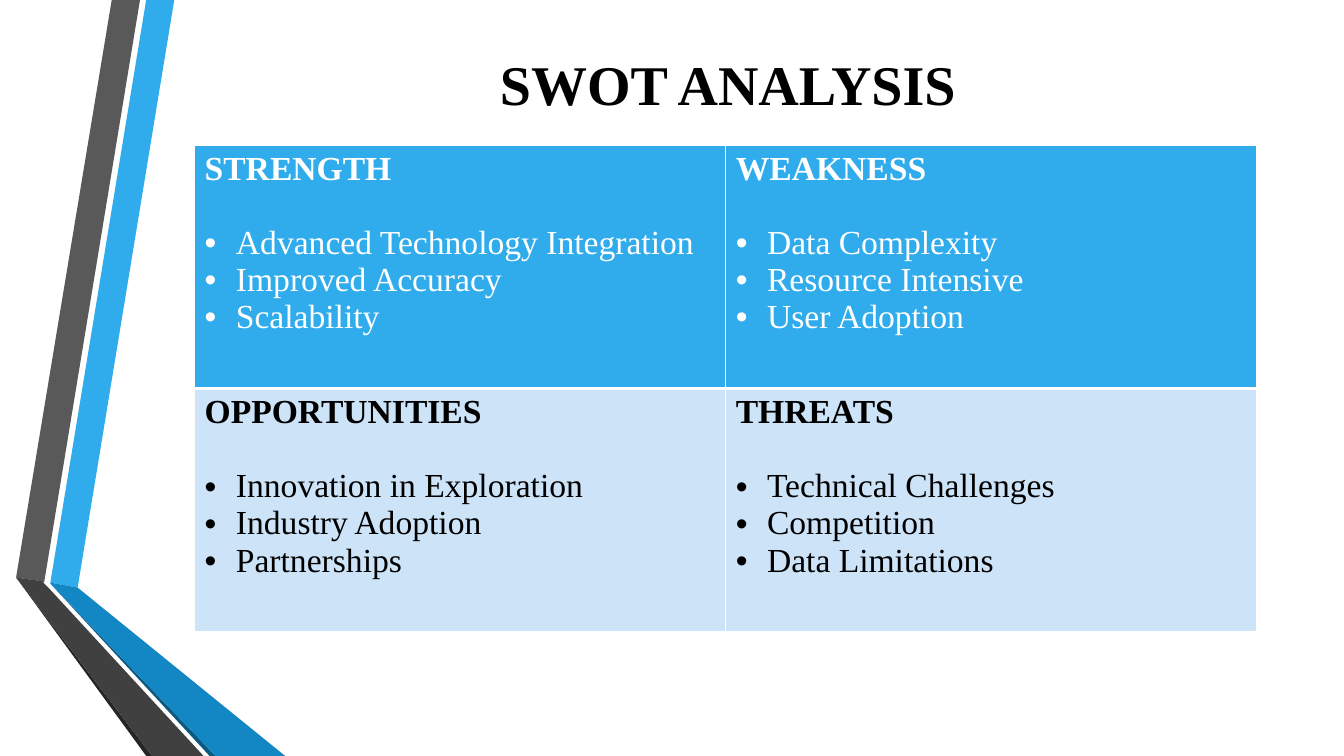
from dataclasses import dataclass

from lxml import etree
from pptx import Presentation
from pptx.dml.color import RGBColor
from pptx.enum.text import MSO_ANCHOR, PP_ALIGN
from pptx.oxml.ns import qn
from pptx.util import Inches, Pt

FONT = "Times New Roman"
CENTER, LEFT = PP_ALIGN.CENTER, PP_ALIGN.LEFT
MIDDLE = MSO_ANCHOR.MIDDLE
SLIDE_W, SLIDE_H = Inches(13.333), Inches(7.5)
WHITE, BLACK, BLUE, PALE_BLUE = "FFFFFF", "000000", "30ACEC", "CDE3F8"

# Shares of the slide's size, in percent
TABLE_LEFT, TABLE_TOP = 14.48, 19.2
COL_W, ROW_H = 39.52, 32.2
BULLET_INDENT = Inches(0.31)
BORDERS = {"a:lnL": 1, "a:lnR": 1, "a:lnT": 1, "a:lnB": 1}


@dataclass
class Ribbon:
    color: str
    points: list[tuple[float, float]]


@dataclass
class Quadrant:
    heading: str
    items: list[str]


RIBBONS = [
    Ribbon(BLUE, [(3.75, 77.07), (5.78, 77.73), (12.97, 0), (10.88, 0)]),
    Ribbon("595959", [(10.42, 0), (8.32, 0), (1.2, 76.4), (3.3, 76.93)]),
    Ribbon("262626", [(1.2, 76.4), (10.88, 100), (11.32, 100)]),
    Ribbon("0C5A82", [(3.75, 77.2), (15.6, 100), (16.05, 100)]),
    Ribbon("1287C3", [(3.75, 77.2), (16.05, 100), (21.22, 100),
                      (5.78, 77.73), (3.75, 77.07)]),
    Ribbon("404040", [(15.15, 100), (3.6, 77.73), (3.22, 77.07),
                      (3.3, 76.93), (1.2, 76.4), (11.32, 100)]),
]

SWOT = [
    [Quadrant("STRENGTH", ["Advanced Technology Integration",
                           "Improved Accuracy", "Scalability"]),
     Quadrant("WEAKNESS", ["Data Complexity", "Resource Intensive",
                           "User Adoption"])],
    [Quadrant("OPPORTUNITIES", ["Innovation in Exploration",
                                "Industry Adoption", "Partnerships"]),
     Quadrant("THREATS", ["Technical Challenges", "Competition",
                          "Data Limitations"])],
]
ROW_COLORS = [(BLUE, WHITE), (PALE_BLUE, BLACK)]


def x(percent: float) -> int:
    return int(SLIDE_W * percent / 100)


def y(percent: float) -> int:
    return int(SLIDE_H * percent / 100)


def rgb(color: str) -> RGBColor:
    return RGBColor.from_string(color)


def write(p, text: str, *, size: float = 24, color: str = BLACK,
          bold: bool = False, align=LEFT, after: float = 0,
          bullet: bool = False) -> None:
    """Fill paragraph p with one formatted run."""
    p.alignment = align
    p.space_after = Pt(after)
    r = p.add_run()
    r.text = text
    r.font.name, r.font.size, r.font.bold = FONT, Pt(size), bold
    r.font.color.rgb = rgb(color)
    if bullet:
        pPr = p._p.get_or_add_pPr()
        pPr.set("marL", str(BULLET_INDENT))
        pPr.set("indent", str(-BULLET_INDENT))
        etree.SubElement(pPr, qn("a:buFont")).set("typeface", "Arial")
        etree.SubElement(pPr, qn("a:buChar")).set("char", "•")


def add_ribbon(slide, ribbon: Ribbon) -> None:
    start, *rest = [(x(px), y(py)) for px, py in ribbon.points]
    builder = slide.shapes.build_freeform(*start)
    builder.add_line_segments(rest, close=True)
    sp = builder.convert_to_shape()
    sp.shadow.inherit = False
    sp.fill.solid()
    sp.fill.fore_color.rgb = rgb(ribbon.color)
    sp.line.fill.background()


def add_title(slide, text: str) -> None:
    sp = slide.shapes.add_textbox(x(13.05), y(-1.87), x(82.2), y(25.6))
    tf = sp.text_frame
    tf.word_wrap = True
    tf.vertical_anchor = MIDDLE
    write(tf.paragraphs[0], text, size=40, bold=True, align=CENTER)


def set_borders(cell, widths: dict[str, float]) -> None:
    tcPr = cell._tc.get_or_add_tcPr()
    for tag, width in widths.items():
        ln = etree.SubElement(tcPr, qn(tag), w=str(Pt(width)))
        fill = etree.SubElement(ln, qn("a:solidFill"))
        etree.SubElement(fill, qn("a:srgbClr"), val=WHITE)


def fill_cell(cell, quadrant: Quadrant, fill: str, color: str) -> None:
    cell.fill.solid()
    cell.fill.fore_color.rgb = rgb(fill)
    tf = cell.text_frame
    write(tf.paragraphs[0], quadrant.heading, color=color, bold=True, after=26.5)
    for item in quadrant.items:
        write(tf.add_paragraph(), item, color=color, bullet=True)


def add_swot_table(slide) -> None:
    rows, cols = len(SWOT), len(SWOT[0])
    table = slide.shapes.add_table(rows, cols, x(TABLE_LEFT), y(TABLE_TOP),
                                   x(COL_W * cols), y(ROW_H * rows)).table
    for i, quadrants in enumerate(SWOT):
        # A thicker rule separates the two rows
        edge = {"a:lnB": 3} if i == 0 else {"a:lnT": 3}
        for j, quadrant in enumerate(quadrants):
            cell = table.cell(i, j)
            set_borders(cell, BORDERS | edge)
            fill_cell(cell, quadrant, *ROW_COLORS[i])


def main() -> None:
    prs = Presentation()
    prs.slide_width, prs.slide_height = SLIDE_W, SLIDE_H
    slide = prs.slides.add_slide(prs.slide_layouts[6])
    for ribbon in RIBBONS:
        add_ribbon(slide, ribbon)
    add_title(slide, "SWOT ANALYSIS")
    add_swot_table(slide)
    prs.save("out.pptx")


if __name__ == "__main__":
    main()
